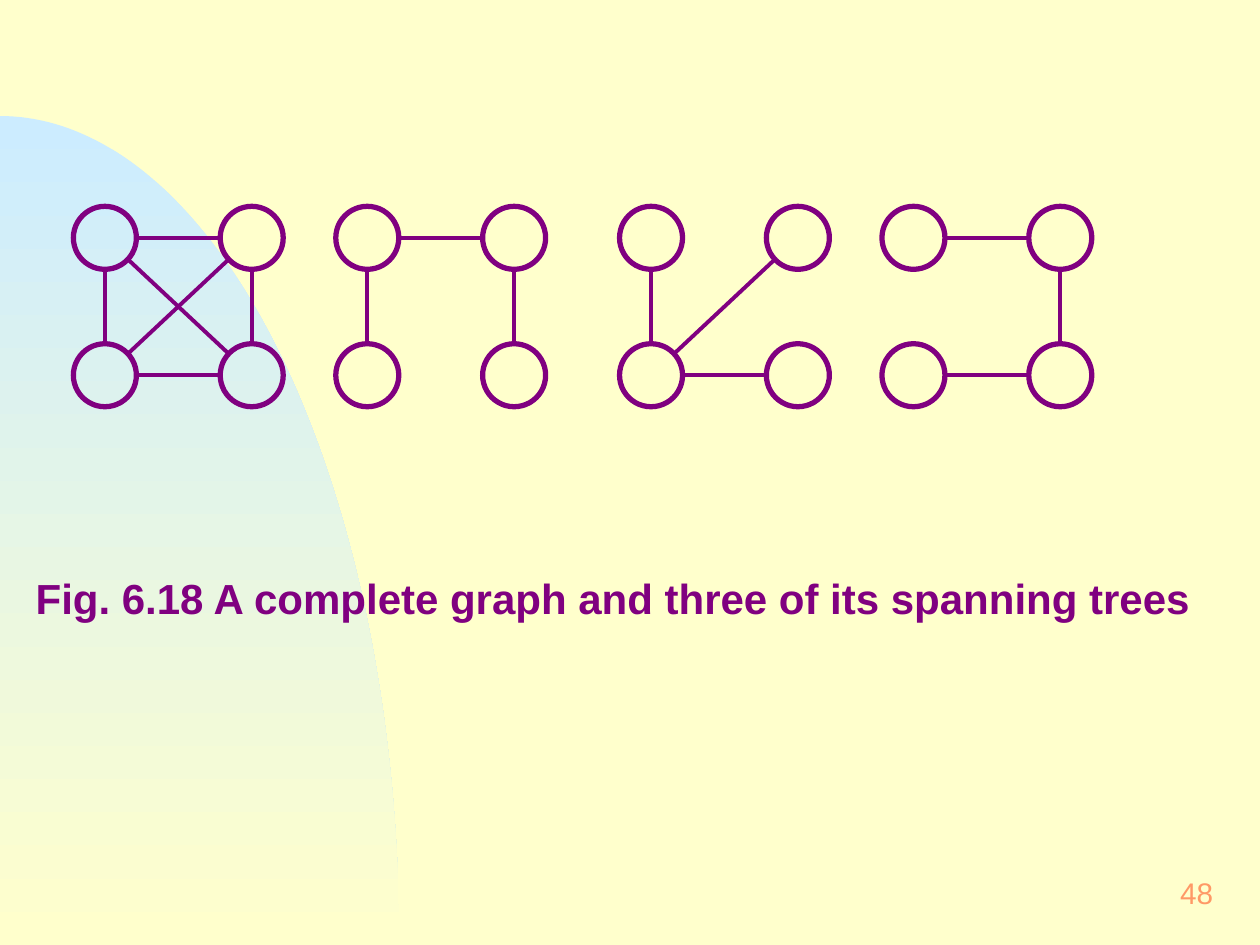
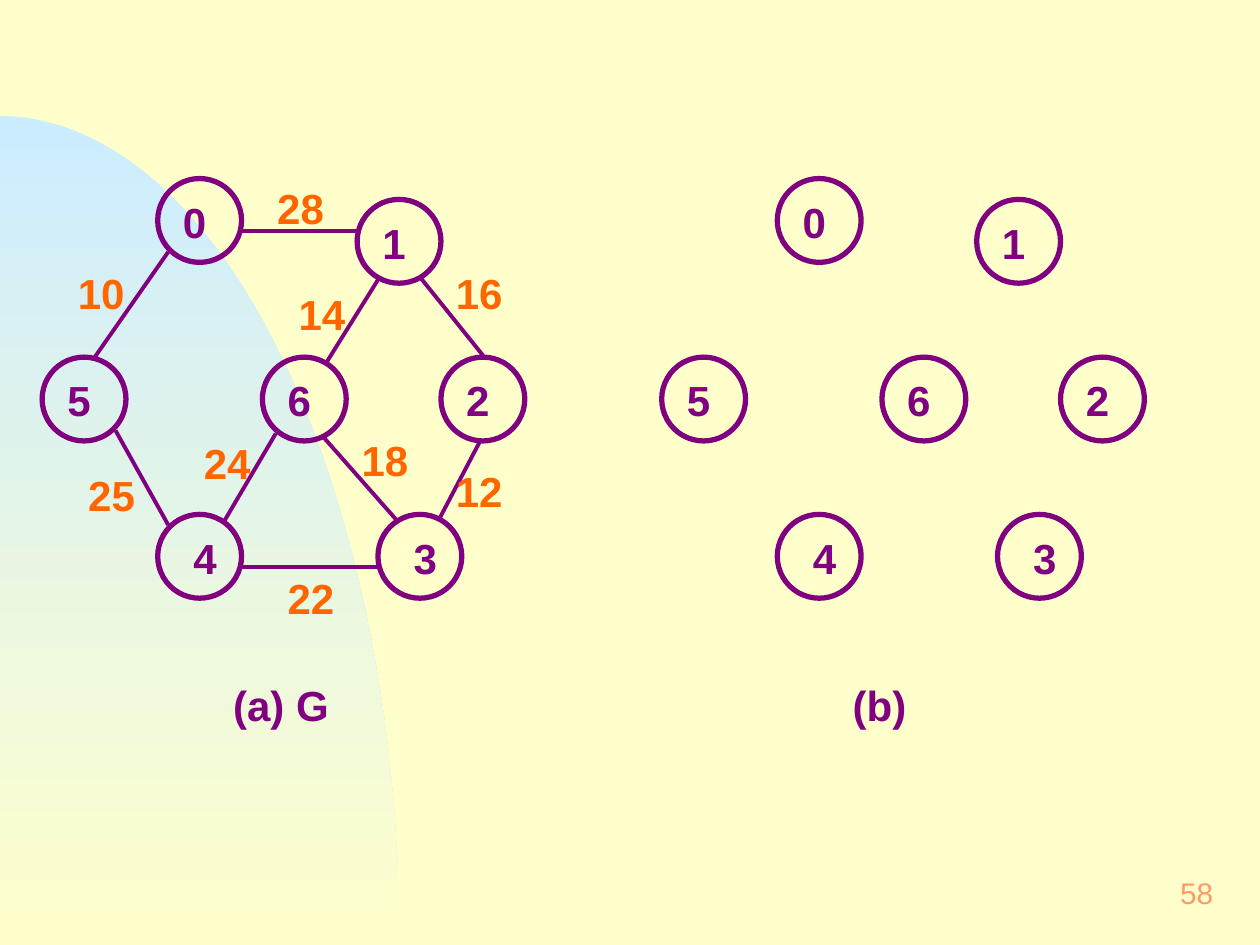
"""Two slides on spanning trees: small graphs and a weighted graph."""
from math import cos, hypot, pi, sin

from lxml import etree
from pptx import Presentation
from pptx.dml.color import RGBColor
from pptx.enum.shapes import MSO_CONNECTOR, MSO_SHAPE
from pptx.enum.text import MSO_ANCHOR, PP_ALIGN
from pptx.oxml.ns import qn
from pptx.util import Cm, Pt

STRAIGHT = MSO_CONNECTOR.STRAIGHT
OVAL = MSO_SHAPE.OVAL
TOP, MIDDLE = MSO_ANCHOR.TOP, MSO_ANCHOR.MIDDLE
LEFT, RIGHT = PP_ALIGN.LEFT, PP_ALIGN.RIGHT

CREAM = RGBColor(0xFF, 0xFF, 0xCC)
SKY = RGBColor(0xCC, 0xEC, 0xFF)
PURPLE = RGBColor(0x80, 0x00, 0x80)
ORANGE = RGBColor(0xFF, 0x66, 0x00)
SALMON = RGBColor(0xFF, 0x99, 0x66)

FONT = "Arial"
SLIDE_WIDTH, SLIDE_HEIGHT = 25.4, 19.05
ARC_WIDTH, ARC_HEIGHT, ARC_STEPS = 8.05, 16.71, 90
LABEL_HEIGHT = 1.31

TREE_NODE = 1.27
TREE_TOP = 4.16
COLUMN_STEP, ROW_STEP = 2.96, 2.77
TOP_LEFT, TOP_RIGHT, BOTTOM_LEFT, BOTTOM_RIGHT = (0, 0), (1, 0), (0, 1), (1, 1)
TOP_EDGE = (TOP_LEFT, TOP_RIGHT)
BOTTOM_EDGE = (BOTTOM_LEFT, BOTTOM_RIGHT)
LEFT_EDGE = (TOP_LEFT, BOTTOM_LEFT)
RIGHT_EDGE = (TOP_RIGHT, BOTTOM_RIGHT)
FALLING = (TOP_LEFT, BOTTOM_RIGHT)
RISING = (TOP_RIGHT, BOTTOM_LEFT)
CORNERS = (TOP_LEFT, TOP_RIGHT, BOTTOM_LEFT, BOTTOM_RIGHT)
SMALL_GRAPHS = (
    (1.48, (TOP_EDGE, BOTTOM_EDGE, LEFT_EDGE, RIGHT_EDGE, FALLING, RISING)),
    (6.77, (TOP_EDGE, LEFT_EDGE, RIGHT_EDGE)),
    (12.49, (LEFT_EDGE, RISING, BOTTOM_EDGE)),
    (17.78, (TOP_EDGE, RIGHT_EDGE, BOTTOM_EDGE)),
)

VERTEX = 1.69
PANEL_SHIFT = 12.49
VERTICES = (
    ("0", 3.18, 3.6, 0.21),
    ("1", 7.2, 4.02, 0.21),
    ("2", 8.89, 7.2, 0.21),
    ("3", 7.62, 10.37, 0.42),
    ("4", 3.18, 10.37, 0.42),
    ("5", 0.85, 7.2, 0.21),
    ("6", 5.29, 7.2, 0.21),
)
WEIGHTED_EDGES = (
    ("28", (4.87, 4.66), (7.2, 4.66), (5.29, 3.52)),
    ("10", (3.39, 5.08), (1.91, 7.2), (1.27, 5.24)),
    ("16", (8.47, 5.59), (9.74, 7.17), (8.89, 5.24)),
    ("14", (7.62, 5.64), (6.56, 7.34), (5.72, 5.66)),
    ("18", (6.5, 8.79), (8, 10.49), (6.99, 8.6)),
    ("12", (9.68, 8.89), (8.84, 10.49), (8.89, 9.24)),
    ("24", (5.56, 8.74), (4.5, 10.54), (3.81, 8.68)),
    ("25", (2.33, 8.68), (3.39, 10.58), (1.48, 9.32)),
    ("22", (4.87, 11.43), (7.62, 11.43), (5.5, 11.39)),
)


def add_text(slide, text, left, top, width, height=LABEL_HEIGHT, color=PURPLE,
             size=24, bold=True, align=LEFT, anchor=TOP):
    """Add one line of text in a box."""
    box = slide.shapes.add_textbox(Cm(left), Cm(top), Cm(width), Cm(height))
    frame = box.text_frame
    frame.word_wrap = True
    frame.vertical_anchor = anchor
    frame.margin_left = frame.margin_right = Cm(0.3)
    frame.margin_top = frame.margin_bottom = Cm(0.15)
    frame.text = text
    paragraph = frame.paragraphs[0]
    paragraph.alignment = align
    font = paragraph.runs[0].font
    font.name, font.size, font.bold = FONT, Pt(size), bold
    font.color.rgb = color


def add_circle(slide, left, top, diameter):
    """Add an unfilled circle with a purple outline."""
    circle = slide.shapes.add_shape(OVAL, Cm(left), Cm(top), Cm(diameter), Cm(diameter))
    circle.shadow.inherit = False
    circle.fill.background()
    circle.line.color.rgb = PURPLE
    circle.line.width = Pt(3)


def add_edge(slide, start, end):
    """Add a purple line between two points."""
    edge = slide.shapes.add_connector(STRAIGHT, *map(Cm, (*start, *end)))
    edge.line.color.rgb = PURPLE
    edge.line.width = Pt(2.25)
    etree.SubElement(edge._element.spPr, qn("a:effectLst"))


def add_arc(slide):
    """Add the shaded quarter ellipse at the lower left."""
    angles = [step * pi / 2 / ARC_STEPS for step in range(ARC_STEPS + 1)]
    curve = [(Cm(ARC_WIDTH * sin(angle)), Cm(SLIDE_HEIGHT - ARC_HEIGHT * cos(angle)))
             for angle in angles]
    builder = slide.shapes.build_freeform(*curve[0])
    builder.add_line_segments(curve[1:] + [(0, Cm(SLIDE_HEIGHT))], close=True)
    arc = builder.convert_to_shape()
    arc.shadow.inherit = False
    arc.line.fill.background()
    arc.fill.gradient()
    arc.fill.gradient_angle = 270
    for stop, position, color in zip(arc.fill.gradient_stops, (0, 1), (SKY, CREAM)):
        stop.position = position
        stop.color.rgb = color


def add_base_slide(presentation, number):
    """Add a blank slide with the shared background and page number."""
    slide = presentation.slides.add_slide(presentation.slide_layouts[6])
    slide.background.fill.solid()
    slide.background.fill.fore_color.rgb = CREAM
    add_arc(slide)
    add_text(slide, number, 19.48, 17.35, 5.28, 1.27, SALMON, 17, False, RIGHT, MIDDLE)
    return slide


def add_small_graph(slide, left, edges):
    """Add four corner nodes and the edges between their rims."""
    radius = TREE_NODE / 2
    for column, row in CORNERS:
        add_circle(slide, left + column * COLUMN_STEP, TREE_TOP + row * ROW_STEP, TREE_NODE)
    for ends in edges:
        (x1, y1), (x2, y2) = [
            (left + radius + column * COLUMN_STEP, TREE_TOP + radius + row * ROW_STEP)
            for column, row in ends]
        trim = radius / hypot(x2 - x1, y2 - y1)
        trim_x, trim_y = (x2 - x1) * trim, (y2 - y1) * trim
        add_edge(slide, (x1 + trim_x, y1 + trim_y), (x2 - trim_x, y2 - trim_y))


def add_vertices(slide, shift, caption):
    """Add the seven numbered vertices and the caption of a panel."""
    for name, left, top, indent in VERTICES:
        add_circle(slide, left + shift, top, VERTEX)
        add_text(slide, name, left + shift + indent, top + 0.21, 1.27)
    add_text(slide, caption, 4.4 + shift, 13.55, 2.85)


def add_weighted_edges(slide):
    """Add the edges of the graph with their weights."""
    for weight, start, end, (left, top) in WEIGHTED_EDGES:
        add_edge(slide, start, end)
        add_text(slide, weight, left, top, 1.91, color=ORANGE)


def main():
    """Build both slides and save them."""
    presentation = Presentation()
    presentation.slide_width = Cm(SLIDE_WIDTH)
    presentation.slide_height = Cm(SLIDE_HEIGHT)

    trees = add_base_slide(presentation, "48")
    for left, edges in SMALL_GRAPHS:
        add_small_graph(trees, left, edges)
    add_text(trees, "Fig. 6.18 A complete graph and three of its spanning trees",
             0.42, 11.39, 24.34)

    weighted = add_base_slide(presentation, "58")
    add_vertices(weighted, 0, "(a) G")
    add_weighted_edges(weighted)
    add_vertices(weighted, PANEL_SHIFT, "(b)")

    presentation.save("out.pptx")


if __name__ == "__main__":
    main()
